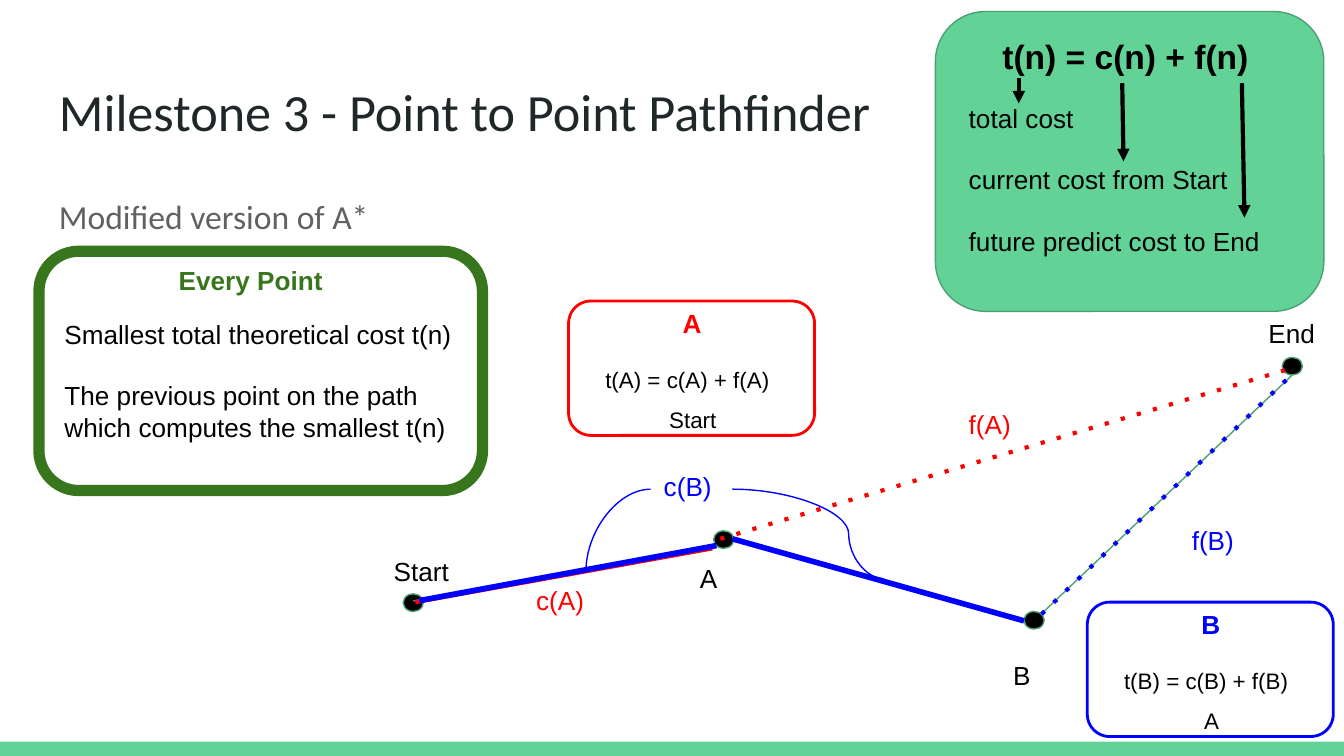
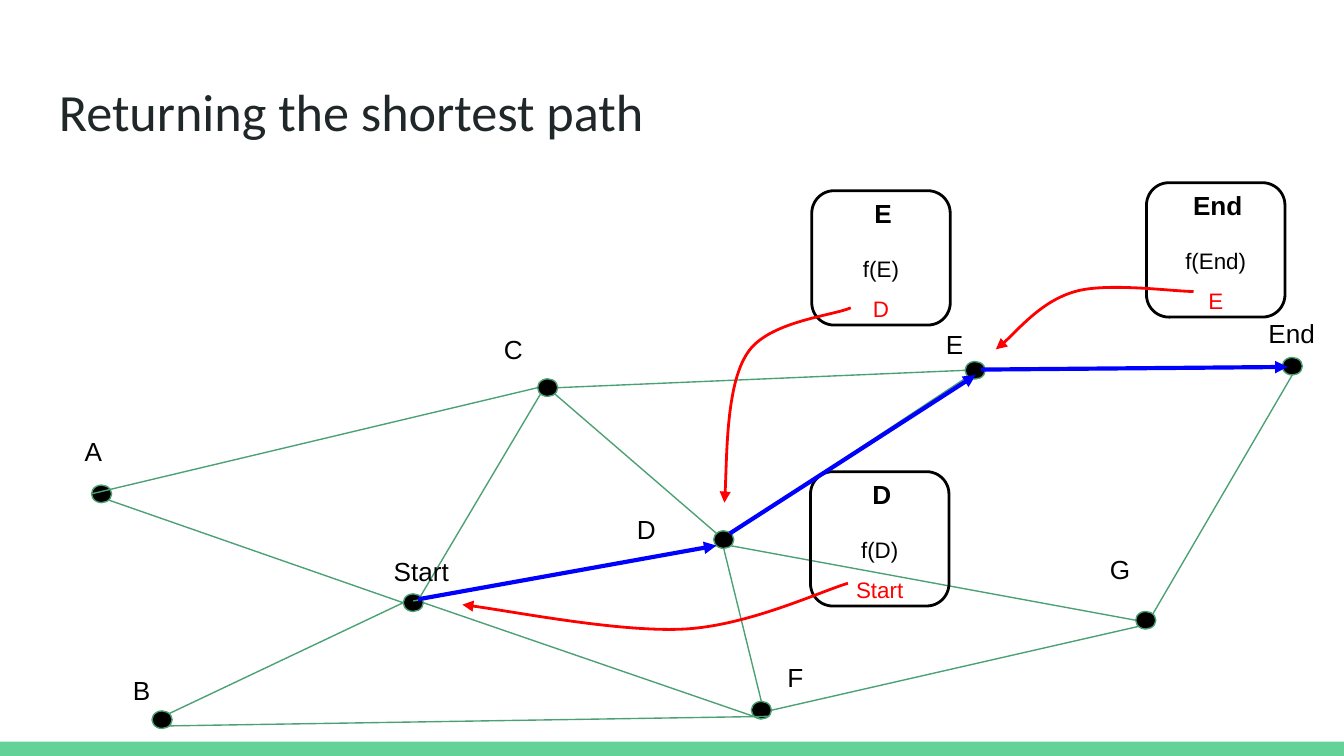
from dataclasses import dataclass
from itertools import product

from lxml.etree import SubElement
from pptx import Presentation
from pptx.dml.color import RGBColor
from pptx.enum.shapes import MSO_CONNECTOR, MSO_SHAPE
from pptx.enum.text import MSO_ANCHOR, PP_ALIGN
from pptx.oxml.ns import qn
from pptx.util import Pt


@dataclass(frozen=True)
class Theme:
    green: str = "63D297"
    edge: str = "4BA173"
    dark_green: str = "38761D"
    title_ink: str = "202729"
    grey: str = "616161"
    black: str = "000000"
    red: str = "FF0000"
    blue: str = "0000FF"
    head_font: str = "Calibri"
    body_font: str = "Arial"
    title: int = 28
    large: int = 18
    body: int = 14
    small: int = 12
    hair: float = 0.75
    medium: float = 1.5
    thick: float = 2.25


T = Theme()


def write(s, box, *paras, **fmt):
    """Add a text box; a paragraph is text, or text with its own format."""
    tf = s.shapes.add_textbox(*map(Pt, box)).text_frame
    tf.word_wrap = True
    tf.vertical_anchor = MSO_ANCHOR.TOP
    tf.margin_left = tf.margin_right = tf.margin_top = tf.margin_bottom = Pt(7.2)
    for i, para in enumerate(paras):
        text, own = (para, {}) if isinstance(para, str) else para
        f = {"size": T.body, "color": T.black, "font": T.body_font, "bold": False,
             "align": PP_ALIGN.LEFT, "spacing": 1.0, "before": 0, **fmt, **own}
        p = tf.paragraphs[0] if i == 0 else tf.add_paragraph()
        p.alignment = f["align"]
        p.line_spacing = f["spacing"]
        p.space_before = Pt(f["before"])
        r = p.add_run()
        r.text = text
        r.font.name = f["font"]
        r.font.size = Pt(f["size"])
        r.font.bold = f["bold"]
        r.font.color.rgb = RGBColor.from_string(f["color"])


def style(sp, line=None, weight=T.hair, fill=None, dash=None, arrow=False):
    """Set outline, fill, dash and arrowhead of a shape or connector."""
    if line:
        sp.line.color.rgb = RGBColor.from_string(line)
        sp.line.width = Pt(weight)
    else:
        sp.line.fill.background()
    ln = sp.element.spPr.find(qn("a:ln"))
    if dash:
        SubElement(ln, qn("a:prstDash")).set("val", dash)
    if arrow:
        SubElement(ln, qn("a:tailEnd")).set("type", "triangle")
    if not hasattr(sp, "fill"):
        SubElement(sp.element.spPr, qn("a:effectLst"))
        return
    sp.shadow.inherit = False
    if fill:
        sp.fill.solid()
        sp.fill.fore_color.rgb = RGBColor.from_string(fill)
    else:
        sp.fill.background()


prs = Presentation()
prs.slide_width, prs.slide_height = Pt(720), Pt(405)
CENTER = PP_ALIGN.CENTER

# Graph nodes (left, top) and the points on their rims
NODE_W, NODE_H = 10.8, 9.4
start, end, middle = (216, 318.2), (686.9, 191.5), (382.3, 284.4)
step1 = {"Start": start, "End": end, "A": middle, "B": (548.6, 327.6)}
step2 = {"Start": start, "End": end, "C": (288, 203), "D": middle,
         "F": (402.5, 375.8), "G": (608.4, 327.6), "E": (517, 193.7),
         "A": (49, 259.9), "B": (81.4, 380.9)}
rim = {"n": (0.5, 0), "ne": (0.85, 0.15), "e": (1, 0.5), "se": (0.85, 0.85),
       "s": (0.5, 1), "sw": (0.15, 0.85), "w": (0, 0.5), "nw": (0.15, 0.15),
       "c": (0.5, 0.4)}

edges1 = [("Start c", "A sw"), ("A e", "B w"), ("B ne", "End s")]
edges2 = [("Start ne", "C sw"), ("C se", "D nw"), ("D s", "F n"),
          ("D ne", "E sw"), ("C e", "E w"), ("Start e", "F s"),
          ("F e", "G sw"), ("Start c", "D sw"), ("E e", "End w"),
          ("G ne", "End s"), ("D se", "G w"), ("Start w", "A se"),
          ("Start w", "B ne"), ("C w", "A w"), ("B se", "F se")]

# Shared parts: band, title, nodes, edges, end labels
slides = []
for title, nodes, edges in [
        ("Milestone 3 - Point to Point Pathfinder", step1, edges1),
        ("Returning the shortest path", step2, edges2)]:
    s = prs.slides.add_slide(prs.slide_layouts[6])
    slides.append(s)
    style(s.shapes.add_shape(MSO_SHAPE.RECTANGLE, 0, Pt(397.4), Pt(720), Pt(7.6)),
          fill=T.green)
    write(s, (24.5, 35.3, 671, 45.4), title,
          size=T.title, font=T.head_font, color=T.title_ink)
    for x, y in nodes.values():
        sp = s.shapes.add_shape(MSO_SHAPE.FLOWCHART_CONNECTOR,
                                Pt(x), Pt(y), Pt(NODE_W), Pt(NODE_H))
        style(sp, T.edge, fill=T.black)
    site = {f"{name} {side}": (nodes[name][0] + rim[side][0] * NODE_W,
                               nodes[name][1] + rim[side][1] * NODE_H)
            for name, side in product(nodes, rim)}
    for a, b in edges:
        sp = s.shapes.add_connector(MSO_CONNECTOR.STRAIGHT,
                                    *map(Pt, site[a] + site[b]))
        style(sp, T.edge)
    write(s, (203.8, 290.2, 177.8, 23.8), "Start")
    write(s, (672.5, 162.7, 47, 28), "End")

first, second = slides

# Slide 1: formula panel and "Every Point" frame
for box, line, weight, fill in [
        ((501.1, 6.2, 208.1, 160.6), T.edge, T.hair, T.green),
        ((20.9, 134.6, 237.6, 128.2), T.dark_green, 6, None)]:
    sp = first.shapes.add_shape(MSO_SHAPE.ROUNDED_RECTANGLE, *map(Pt, box))
    style(sp, line, weight, fill)
write(first, (511.9, 12.2, 182.2, 144.7),
      ("t(n) = c(n) + f(n)", {"size": T.large, "bold": True, "align": CENTER}),
      ("total cost", {"before": 13.8}),
      ("current cost from Start", {"before": 16.1}),
      ("future predict cost to End", {"before": 16.1}))
write(first, (24.5, 94.3, 208.1, 33.8), "Modified version of A*",
      size=T.large, font=T.head_font, color=T.grey, spacing=1.15)
write(first, (88.6, 134.6, 95.8, 48.2), "Every Point", bold=True, color=T.dark_green)
write(first, (27.4, 163.4, 224.6, 82.1), "Smallest total theoretical cost t(n)",
      ("The previous point on the path which computes the smallest t(n)",
       {"before": 16.1}))

# Slide 1: costs along the path
for points, color, weight, dash, arrow in [
        ((222.5, 322.6, 381.6, 293.8), T.red, T.thick, None, False),
        ((385.9, 288.7, 691.9, 197.3), T.red, T.thick, "dot", False),
        ((224.6, 321.8, 383.8, 292.3), T.blue, 3, None, False),
        ((392.4, 288.7, 548.6, 332.6), T.blue, 3, None, False),
        ((558, 329, 691.9, 200.9), T.blue, T.thick, "dot", False),
        ((545.8, 41.8, 545.8, 55.4), T.black, T.thick, None, True),
        ((601.2, 44.6, 601.9, 86.4), T.black, T.thick, None, True),
        ((665.3, 44.6, 666.7, 116.6), T.black, T.thick, None, True)]:
    sp = first.shapes.add_connector(MSO_CONNECTOR.STRAIGHT, *map(Pt, points))
    style(sp, color, weight, dash=dash, arrow=arrow)

# Slide 1: curved braces beside c(B)
for points, preset, bend in [
        ((348.5, 262.1, 313.9, 306.4), "curvedConnector2", None),
        ((392.4, 262.1, 473.4, 310), "curvedConnector3", 76900)]:
    sp = first.shapes.add_connector(MSO_CONNECTOR.CURVE, *map(Pt, points))
    geom = sp.element.spPr.find(qn("a:prstGeom"))
    geom.set("prst", preset)
    if bend:
        gd = SubElement(geom.find(qn("a:avLst")), qn("a:gd"))
        gd.set("name", "adj1")
        gd.set("fmla", f"val {bend}")
    style(sp, T.blue)

for text, box, color in [
        ("A", (367.9, 293.8, 28.1, 29.5), T.black),
        ("B", (535.7, 346.3, 36.7, 28.1), T.black),
        ("c(A)", (280.1, 306, 66.2, 33.8), T.red),
        ("f(A)", (511.9, 211.7, 47.5, 23.8), T.red),
        ("c(B)", (348.5, 244.8, 43.9, 33.8), T.blue),
        ("f(B)", (631.4, 273.6, 47.5, 23.8), T.blue)]:
    write(first, box, text, color=color)

# Slide 2: node labels
for text, x, y in [("A", 38.2, 226.1), ("B", 64.1, 354.2), ("C", 262.8, 171.4),
                   ("D", 334.1, 267.8), ("E", 499.7, 168.5), ("F", 414.7, 347),
                   ("G", 587.5, 289.4)]:
    write(second, (x, y, 20.2, 23.8), text)

# Both slides: point cards with name, cost and previous point
wide = (131.8, 14.4, 103.7, 12.6, 108)
narrow = (74.2, -19.4, 115.2, -21.6, 117.4)
for s, x, y, size, name, cost, previous, color in [
        (first, 304.6, 161.3, wide, "A", "t(A) = c(A) + f(A)", "Start", T.red),
        (first, 582.5, 322.6, wide, "B", "t(B) = c(B) + f(B)", "A", T.blue),
        (second, 614.2, 97.9, narrow, "End", "f(End)", "E", T.black),
        (second, 434.9, 102.2, narrow, "E", "f(E)", "D", T.black),
        (second, 434.2, 252.7, narrow, "D", "f(D)", "Start", T.black)]:
    card_w, name_dx, name_w, cost_dx, cost_w = size
    sp = s.shapes.add_shape(MSO_SHAPE.ROUNDED_RECTANGLE,
                            Pt(x), Pt(y), Pt(card_w), Pt(72))
    style(sp, color, T.medium)
    write(s, (x + name_dx, y - 3.6, name_w, 48.2), name,
          bold=True, color=color, align=CENTER)
    write(s, (x + cost_dx, y + 20.2, cost_w, 48.2),
          (cost, {"align": PP_ALIGN.LEFT if s is first else CENTER}),
          (previous, {"color": T.black if s is first else T.red}),
          size=T.small, spacing=1.5, align=CENTER)

# Slide 2: curved arrows back to the previous point, two Bézier pieces each
for origin, *rest in [
        [(639.4, 156.2), (628.6, 156.2), (593.3, 151.2), (576, 156.2),
         (558, 161.3), (540.7, 182.2), (533.5, 187.2)],
        [(455.8, 164.9), (446.4, 169.2), (411.1, 172.1), (400.3, 189.4),
         (388.8, 206.6), (389.5, 256.3), (388.1, 269.3)],
        [(454.3, 312.5), (439.9, 316.8), (401.8, 334.8), (367.9, 337),
         (333.4, 339.1), (267.8, 326.2), (247.7, 324)]]:
    builder = second.shapes.build_freeform(*map(Pt, origin))
    builder.add_line_segments([(Pt(x), Pt(y)) for x, y in rest], close=False)
    sp = builder.convert_to_shape()
    outline = sp.element.find(".//" + qn("a:path"))
    segments = outline.findall(qn("a:lnTo"))
    for i in range(0, len(segments), 3):
        curve = SubElement(outline, qn("a:cubicBezTo"))
        for segment in segments[i:i + 3]:
            curve.append(segment[0])
            outline.remove(segment)
    style(sp, T.red, T.medium, arrow=True)

# Slide 2: shortest path
for points in [(223.9, 321.1, 383.8, 292.3), (391, 285.8, 522.7, 200.9),
               (525.6, 198, 689.8, 196.6)]:
    sp = second.shapes.add_connector(MSO_CONNECTOR.STRAIGHT, *map(Pt, points))
    style(sp, T.blue, T.thick, arrow=True)

prs.save("out.pptx")
